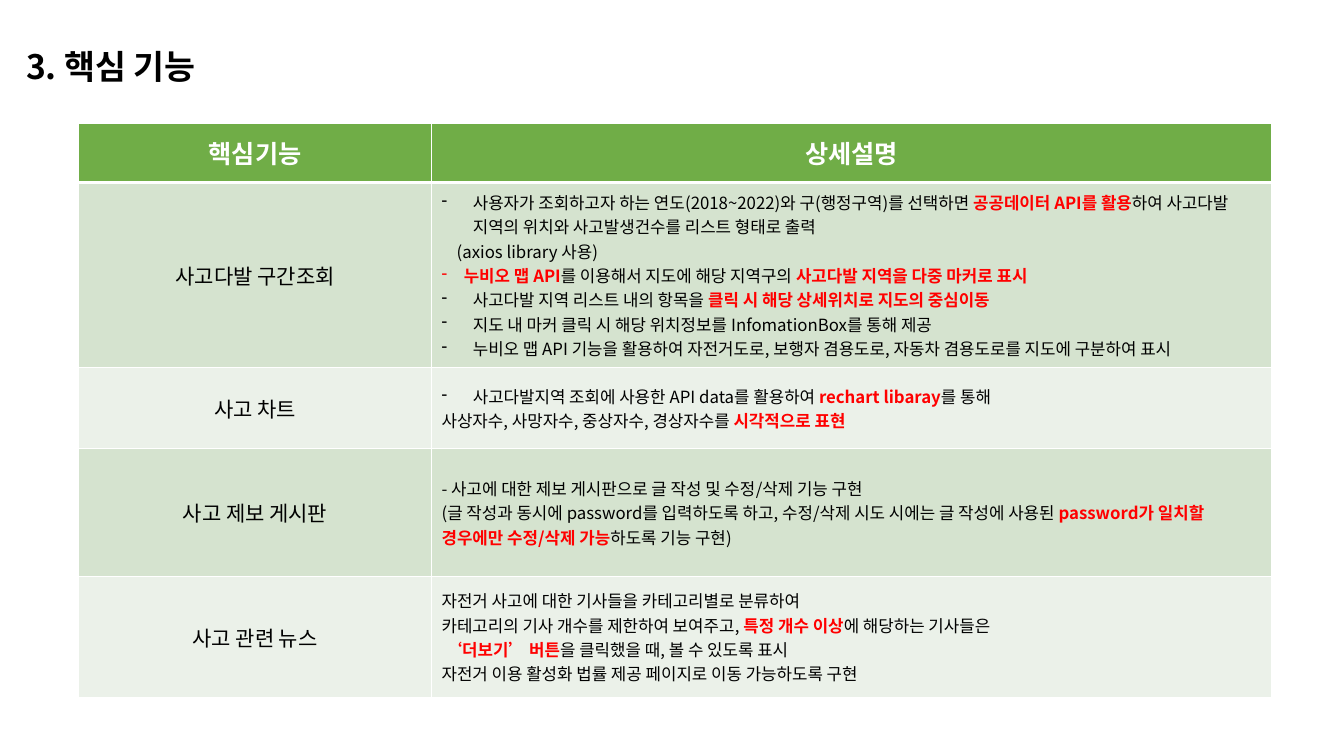
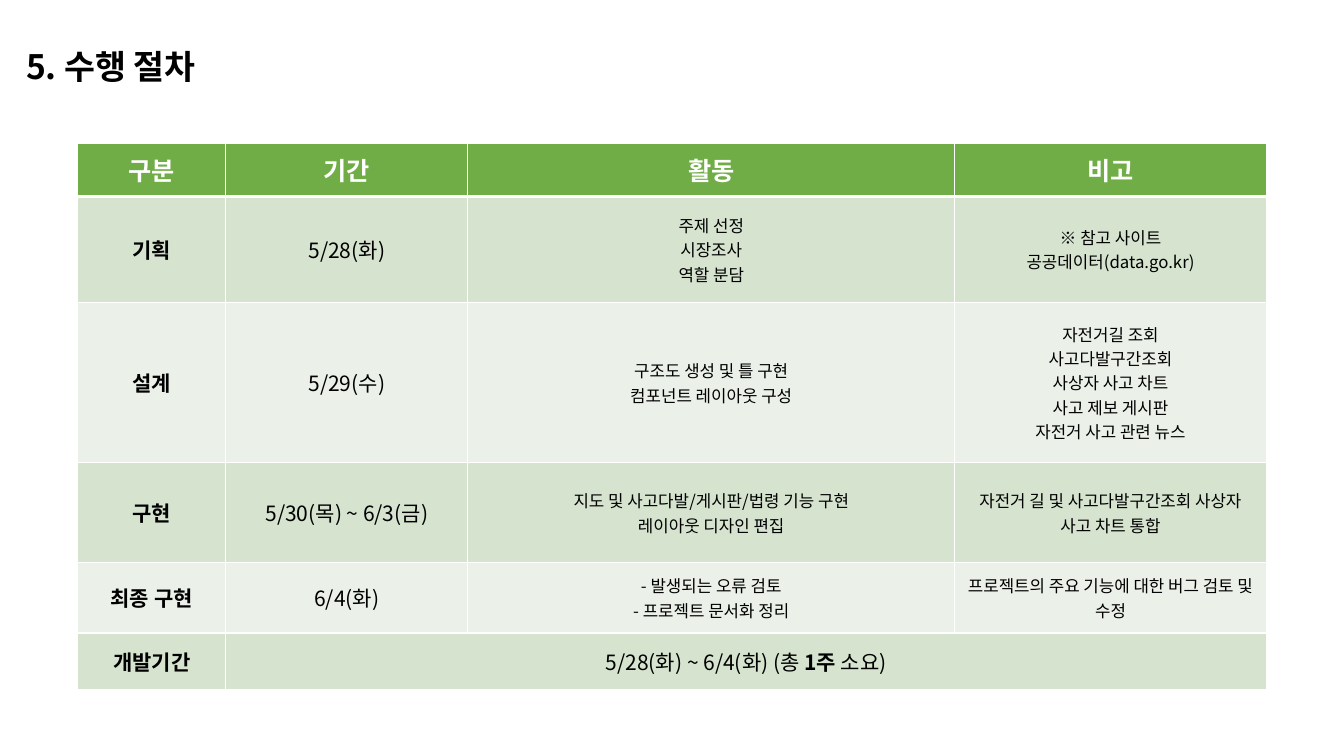
from lxml.etree import SubElement
from pptx import Presentation
from pptx.dml.color import RGBColor
from pptx.enum.text import MSO_ANCHOR, PP_ALIGN
from pptx.oxml.ns import qn
from pptx.util import Inches, Pt

FACE = "Noto Sans CJK KR"
BLACK = RGBColor(0x00, 0x00, 0x00)
WHITE = RGBColor(0xFF, 0xFF, 0xFF)
RED = RGBColor(0xFF, 0x00, 0x00)
GREEN = RGBColor(0x70, 0xAD, 0x47)
BANDS = [RGBColor(0xEB, 0xF1, 0xE9), RGBColor(0xD5, 0xE3, 0xCF)]

TITLE = {"size": Pt(24), "bold": True, "name": FACE}
HEAD = {"size": Pt(18), "bold": True, "name": FACE}
LABEL = {"size": Pt(15), "bold": False, "name": FACE}
STRONG = {"size": Pt(15), "bold": True, "name": FACE}
BODY = {"size": Pt(12), "bold": False, "name": FACE}

# First sign of a line: left margin, first-line indent, bullet
MARKS = {
    "•": (0.31, -0.31, "-"),
    "·": (0.22, -0.22, "-"),
    ">": (0.15, 0, None),
}


def write(frame, text, style, color, accent=BLACK, align=PP_ALIGN.LEFT):
    """Fill a text frame line by line; *stars* enclose bold accent text."""
    for num, line in enumerate(text.split("\n")):
        para = frame.add_paragraph() if num else frame.paragraphs[0]
        para.alignment = align
        if line[0] in MARKS:
            left, first, sign = MARKS[line[0]]
            line = line[1:]
            props = para._p.get_or_add_pPr()
            props.set("marL", str(Inches(left)))
            props.set("indent", str(Inches(first)))
            if sign:
                SubElement(props, qn("a:buChar"), char=sign)
        for part, words in enumerate(line.split("*")):
            if not words:
                continue
            run = para.add_run()
            run.text = words
            for key, value in style.items():
                setattr(run.font, key, value)
            run.font.color.rgb = color
            if part % 2:
                run.font.bold = True
                run.font.color.rgb = accent
            SubElement(run._r.get_or_add_rPr(), qn("a:ea"), typeface=FACE)


def edge(cell, row):
    """Draw white cell borders, with a thick line under the header."""
    props = cell._tc.get_or_add_tcPr()
    for side in ("lnL", "lnR", "lnT", "lnB"):
        thick = (row, side) in ((0, "lnB"), (1, "lnT"))
        line = SubElement(props, qn("a:" + side), w=str(Pt(3 if thick else 1)))
        fill = SubElement(line, qn("a:solidFill"))
        SubElement(fill, qn("a:srgbClr"), val=str(WHITE))


FEATURES = [
    ["핵심기능", "상세설명"],
    ["사고다발 구간조회",
     "•사용자가 조회하고자 하는 연도(2018~2022)와 구(행정구역)를 선택하면 "
     "*공공데이터 API를 활용*하여 사고다발 지역의 위치와 사고발생건수를 리스트 형태로 출력\n"
     ">(axios library 사용)\n"
     "·*누비오 맵 API*를 이용해서 지도에 해당 지역구의 *사고다발 지역을 다중 마커로 표시*\n"
     "•사고다발 지역 리스트 내의 항목을 *클릭 시 해당 상세위치로 지도의 중심이동*\n"
     "•지도 내 마커 클릭 시 해당 위치정보를 InfomationBox를 통해 제공\n"
     "•누비오 맵 API 기능을 활용하여 자전거도로, 보행자 겸용도로, "
     "자동차 겸용도로를 지도에 구분하여 표시"],
    ["사고 차트",
     "•사고다발지역 조회에 사용한 API data를 활용하여 *rechart libaray*를 통해\n"
     "사상자수, 사망자수, 중상자수, 경상자수를 *시각적으로 표현*"],
    ["사고 제보 게시판",
     "- 사고에 대한 제보 게시판으로 글 작성 및 수정/삭제 기능 구현\n"
     "(글 작성과 동시에 password를 입력하도록 하고, 수정/삭제 시도 시에는 글 작성에 사용된 "
     "*password가 일치할 경우에만 수정/삭제 가능*하도록 기능 구현)"],
    ["사고 관련 뉴스",
     "자전거 사고에 대한 기사들을 카테고리별로 분류하여\n"
     "카테고리의 기사 개수를 제한하여 보여주고, *특정 개수 이상*에 해당하는 기사들은\n"
     " *‘더보기’ 버튼*을 클릭했을 때, 볼 수 있도록 표시\n"
     "자전거 이용 활성화 법률 제공 페이지로 이동 가능하도록 구현"],
]

SCHEDULE = [
    ["구분", "기간", "활동", "비고"],
    ["기획", "5/28(화)", "주제 선정\n시장조사\n역할 분담",
     "※ 참고 사이트\n공공데이터(data.go.kr)"],
    ["설계", "5/29(수)", "구조도 생성 및 틀 구현\n컴포넌트 레이아웃 구성",
     "자전거길 조회\n사고다발구간조회\n사상자 사고 차트\n사고 제보 게시판\n자전거 사고 관련 뉴스"],
    ["구현", "5/30(목) ~ 6/3(금)",
     "지도 및 사고다발/게시판/법령 기능 구현\n레이아웃 디자인 편집",
     "자전거 길 및 사고다발구간조회 사상자 사고 차트 통합"],
    ["최종 구현", "6/4(화)", "- 발생되는 오류 검토\n- 프로젝트 문서화 정리",
     "프로젝트의 주요 기능에 대한 버그 검토 및 수정"],
    ["개발기간", "5/28(화) ~ 6/4(화) (총 *1주* 소요)"],
]

CENTER, LEFT = PP_ALIGN.CENTER, PP_ALIGN.LEFT
SLIDES = [
    {"title": "3. 핵심 기능", "rows": FEATURES, "at": (0.78, 1.22),
     "wide": [3.5, 8.33], "high": [0.59, 1.84, 0.8, 1.27, 1.2],
     "styles": [LABEL, BODY], "aligns": [CENTER, LEFT], "accent": RED},
    {"title": "5. 수행 절차", "rows": SCHEDULE, "at": (0.77, 1.42),
     "wide": [1.47, 2.4, 4.83, 3.09], "high": [0.53, 1.05, 1.59, 0.99, 0.7, 0.56],
     "styles": [STRONG, LABEL, BODY, BODY], "aligns": [CENTER] * 4, "accent": BLACK},
]

deck = Presentation()
deck.slide_width, deck.slide_height = Inches(13.33), Inches(7.5)

for page in SLIDES:
    slide = deck.slides.add_slide(deck.slide_layouts[6])
    wide, high = page["wide"], page["high"]
    left, top = page["at"]
    table = slide.shapes.add_table(
        len(high), len(wide), Inches(left), Inches(top),
        Inches(sum(wide)), Inches(sum(high))).table
    for lines, sizes, key in ((table.columns, wide, "width"), (table.rows, high, "height")):
        for line, size in zip(lines, sizes):
            setattr(line, key, Inches(size))

    for row, texts in enumerate(page["rows"]):
        for col in range(len(wide)):
            cell = table.cell(row, col)
            edge(cell, row)
            cell.fill.solid()
            cell.fill.fore_color.rgb = BANDS[row % 2] if row else GREEN
            cell.vertical_anchor = MSO_ANCHOR.MIDDLE
        if len(texts) < len(wide):
            table.cell(row, len(texts) - 1).merge(table.cell(row, len(wide) - 1))
        for col, text in enumerate(texts):
            frame = table.cell(row, col).text_frame
            if row:
                write(frame, text, page["styles"][col], BLACK,
                      page["accent"], page["aligns"][col])
            else:
                write(frame, text, HEAD, WHITE, align=CENTER)

    box = slide.shapes.add_textbox(Inches(0.16), Inches(0.41), Inches(2.07), Inches(0.5))
    box.text_frame.word_wrap = False
    write(box.text_frame, page["title"], TITLE, BLACK)

deck.save("out.pptx")
